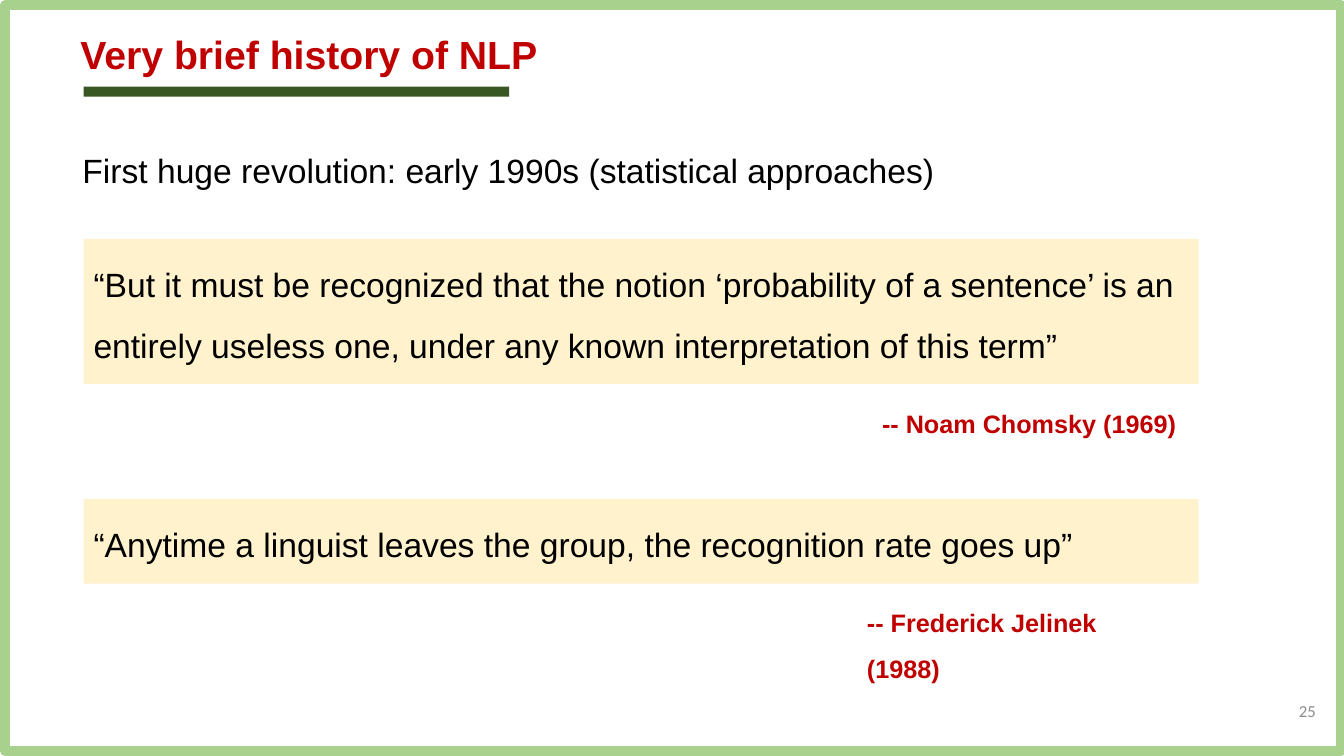
from pptx import Presentation
from pptx.dml.color import RGBColor
from pptx.enum.shapes import MSO_SHAPE
from pptx.enum.text import MSO_ANCHOR, PP_ALIGN
from pptx.util import Inches, Pt

RED, BLACK, CREAM = "C00000", "000000", "FFF2CC"
BODY = {"name": "Arial", "size": Pt(24), "bold": False}
HEADING = {"name": "Arial", "size": Pt(28), "bold": True}
AUTHOR = {"name": "Arial", "size": Pt(18), "bold": True}
NUMBER = {"name": "Calibri", "size": Pt(12), "bold": False}


def color(hex_value):
    """Turn a hex string into a colour."""
    return RGBColor.from_string(hex_value)


def write(shape, text, style, ink, spacing=1.5, align=PP_ALIGN.LEFT, anchor=MSO_ANCHOR.TOP):
    """Fill a shape with one formatted paragraph."""
    frame = shape.text_frame
    frame.word_wrap = True
    frame.vertical_anchor = anchor
    para = frame.paragraphs[0]
    para.alignment = align
    para.line_spacing = spacing
    span = para.add_run()
    span.text = text
    for name, value in style.items():
        setattr(span.font, name, value)
    span.font.color.rgb = color(ink)


def add_text(page, box, *content, **layout):
    """Place a text box holding the given text."""
    write(page.shapes.add_textbox(*map(Inches, box)), *content, **layout)


def add_panel(page, box, fill):
    """Place a plain rectangle without an outline."""
    panel = page.shapes.add_shape(MSO_SHAPE.RECTANGLE, *map(Inches, box))
    panel.shadow.inherit = False
    panel.fill.solid()
    panel.fill.fore_color.rgb = color(fill)
    panel.line.fill.background()
    return panel


def add_frame(page, box):
    """Draw the green border around the page."""
    border = add_panel(page, box, "FFFFFF")
    border.line.color.rgb = color("A9D18E")
    border.line.width = Pt(7)


def add_heading(page, box, text):
    """Place the title and the bar below it."""
    left, top, width, height = box
    add_text(page, box, text, HEADING, RED, spacing=0.9)
    add_panel(page, (left + 0.13, top + 0.56, 4.22, 0.1), "385723")


def add_quote(page, box, quote, author, author_left):
    """Place a quotation panel with its author below."""
    left, top, width, height = box
    write(add_panel(page, box, CREAM), quote, BODY, BLACK)
    author_box = (left + author_left, top + height + 0.04, 3.22, 0.68)
    add_text(page, author_box, author, AUTHOR, RED)


def main():
    """Build and save the slide."""
    deck = Presentation()
    deck.slide_width, deck.slide_height = Inches(13.33), Inches(7.5)
    page = deck.slides.add_slide(deck.slide_layouts[6])
    add_frame(page, (0.05, 0.05, 13.25, 7.4))
    add_heading(page, (0.7, 0.3, 5.97, 0.82), "Very brief history of NLP")
    add_text(page, (0.72, 1.24, 9.54, 1.44),
             "First huge revolution: early 1990s (statistical approaches)", BODY, BLACK)
    add_quote(page, (0.83, 2.37, 11.06, 1.44),
              "“But it must be recognized that the notion ‘probability of a sentence’ is an "
              "entirely useless one, under any known interpretation of this term”",
              "-- Noam Chomsky (1969)", 7.82)
    add_quote(page, (0.83, 4.95, 11.06, 0.84),
              "“Anytime a linguist leaves the group, the recognition rate goes up”",
              "-- Frederick Jelinek (1988)", 7.67)
    add_text(page, (10.15, 6.85, 3, 0.4), "25", NUMBER, "8C8C8C",
             spacing=1.0, align=PP_ALIGN.RIGHT, anchor=MSO_ANCHOR.MIDDLE)
    deck.save("out.pptx")


if __name__ == "__main__":
    main()
